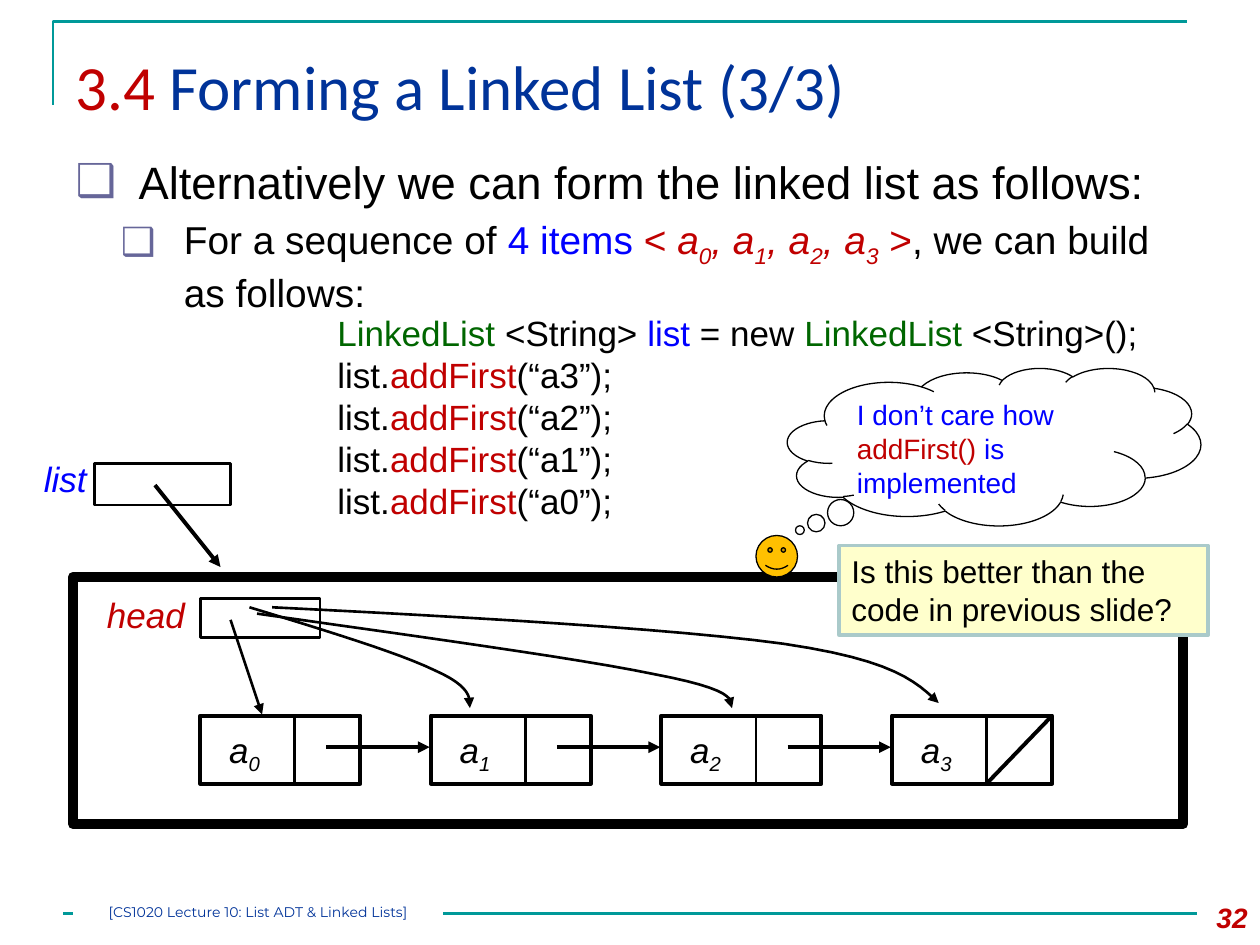
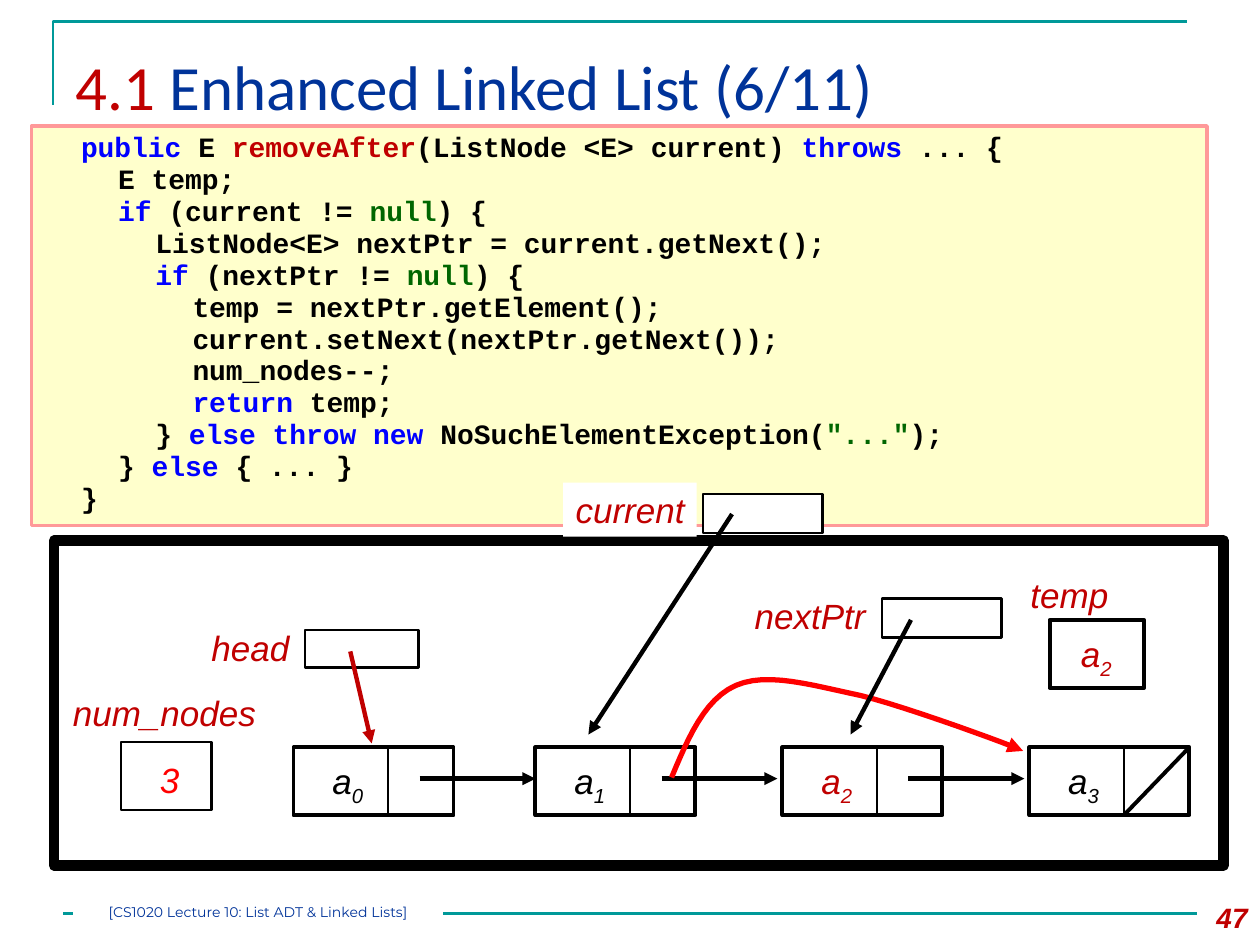
from lxml.etree import SubElement
from pptx import Presentation
from pptx.dml.color import RGBColor
from pptx.enum.shapes import MSO_CONNECTOR, MSO_SHAPE
from pptx.enum.text import MSO_ANCHOR, MSO_AUTO_SIZE, PP_ALIGN
from pptx.oxml.ns import qn
from pptx.util import Inches, Pt

BLACK = RGBColor(0x00, 0x00, 0x00)
WHITE = RGBColor(0xFF, 0xFF, 0xFF)
CRIMSON = RGBColor(0xC0, 0x00, 0x00)
RED = RGBColor(0xFF, 0x00, 0x00)
BLUE = RGBColor(0x00, 0x00, 0xFF)
NAVY = RGBColor(0x00, 0x33, 0x99)
GREEN = RGBColor(0x00, 0x66, 0x00)
TEAL = RGBColor(0x00, 0x99, 0x99)
PURPLE = RGBColor(0x66, 0x66, 0x99)
CREAM = RGBColor(0xFF, 0xFF, 0xCC)
PINK = RGBColor(0xFF, 0x99, 0x99)
GREY_TEAL = RGBColor(0xAA, 0xCA, 0xCA)
GOLD = RGBColor(0xFF, 0xC0, 0x00)


def write_runs(para, runs, size, font="Arial", bold=False, italic=False):
    """Each run is (text, colour) or (text, colour, marks): i italic, s subscript."""
    for text, colour, *marks in runs:
        span = para.add_run()
        span.text = text
        span.font.name = font
        span.font.size = Pt(size)
        span.font.bold = bold
        span.font.italic = italic or "i" in "".join(marks)
        span.font.color.rgb = colour
        if "s" in "".join(marks):
            span.font._element.set("baseline", "-25000")


def add_box(page, place, fill=None, line=None, width=1.5, kind=MSO_SHAPE.RECTANGLE, wrap=True):
    box = page.shapes.add_shape(kind, *[Inches(value) for value in place])
    box.shadow.inherit = False
    if fill is None:
        box.fill.background()
    else:
        box.fill.solid()
        box.fill.fore_color.rgb = fill
    if line is None:
        box.line.fill.background()
    else:
        box.line.color.rgb = line
        box.line.width = Pt(width)
    box.text_frame.word_wrap = wrap
    box.text_frame.vertical_anchor = MSO_ANCHOR.TOP
    box.text_frame.paragraphs[0].alignment = PP_ALIGN.LEFT
    return box


deck = Presentation()
deck.slide_width, deck.slide_height = Inches(10), Inches(7.5)
forming = deck.slides.add_slide(deck.slide_layouts[1])
removing = deck.slides.add_slide(deck.slide_layouts[5])

# Lines of every page: (page, points, colour, width, arrow); over two points is a Bezier curve
lines = []

# Titles, corner rule and footer shared by both slides
for page, section, heading, number in [
    (forming, "3.4 ", "Forming a Linked List (3/3)", "32"),
    (removing, "4.1 ", "Enhanced Linked List (6/11)", "47"),
]:
    title = page.shapes.title
    title.left, title.top, title.width, title.height = [Inches(v) for v in (0.5, 0.25, 9, 0.86)]
    title.text_frame.auto_size = MSO_AUTO_SIZE.NONE
    title.text_frame.vertical_anchor = MSO_ANCHOR.MIDDLE
    para = title.text_frame.paragraphs[0]
    para.alignment = PP_ALIGN.LEFT
    write_runs(para, [(section, CRIMSON), (heading, NAVY)], 36, "Calibri")

    builder = page.shapes.build_freeform(Inches(0.42), Inches(0.83))
    builder.add_line_segments(
        [(Inches(0.42), Inches(0.17)), (Inches(9.42), Inches(0.17))], close=False)
    corner = builder.convert_to_shape()
    corner.shadow.inherit = False
    corner.fill.background()
    corner.line.color.rgb = TEAL
    corner.line.width = Pt(1.5)

    for start, end in [(0.5, 0.58), (3.52, 9.5)]:
        lines.append((page, [(start, 7.25), (end, 7.25)], TEAL, 1.5, False))

    footer = add_box(page, (0.58, 7.17, 2.94, 0.23), WHITE)
    frame = footer.text_frame
    frame.margin_left = frame.margin_right = frame.margin_top = frame.margin_bottom = 0
    frame.paragraphs[0].alignment = PP_ALIGN.CENTER
    write_runs(frame.paragraphs[0], [("[CS1020 Lecture 10: List ADT & Linked Lists]", NAVY)],
               8, "Montserrat")

    page_number = add_box(page, (9.33, 7.1, 0.67, 0.4))
    para = page_number.text_frame.paragraphs[0]
    para.alignment = PP_ALIGN.RIGHT
    write_runs(para, [(number, CRIMSON)], 16, bold=True, italic=True)

# Forming: bullet list
body = forming.placeholders[1]
body.left, body.top, body.width, body.height = [Inches(v) for v in (0.5, 1.17, 9, 1.17)]
body.text_frame.auto_size = MSO_AUTO_SIZE.NONE
sequence = [("For a sequence of ", BLACK), ("4 items ", BLUE), ("<", CRIMSON)]
for index in range(4):
    sequence += [(", a" if index else " a", CRIMSON, "i"), (str(index), CRIMSON, "is")]
sequence += [(" >", CRIMSON), (", we can build as follows:", BLACK)]
bullets = [
    (0, 0.5, 25.9, [("Alternatively we can form the linked list as follows:", BLACK)]),
    (1, 0.86, 22.2, sequence),
]
for level, indent, size, runs in bullets:
    para = body.text_frame.add_paragraph() if level else body.text_frame.paragraphs[0]
    para.level = level
    properties = para._p.get_or_add_pPr()
    properties.set("marL", str(Inches(indent)))
    properties.set("indent", str(Inches(-0.5)))
    bullet_colour = SubElement(properties, qn("a:buClr"))
    SubElement(bullet_colour, qn("a:srgbClr")).set("val", str(PURPLE))
    SubElement(properties, qn("a:buChar")).set("char", "❑")
    para.space_before = Pt(4.4 * level)
    write_runs(para, runs, size)

# Forming: object frame and code
add_box(forming, (0.58, 4.58, 8.81, 1.96), WHITE, BLACK, 6)
frame = add_box(forming, (2.58, 2.42, 6.67, 1.78)).text_frame
write_runs(frame.paragraphs[0], [
    ("LinkedList ", GREEN), ("<String> ", BLACK), ("list ", BLUE), ("= new ", BLACK),
    ("LinkedList ", GREEN), ("<String>();", BLACK)], 20)
for item in (3, 2, 1, 0):
    para = frame.add_paragraph()
    para.alignment = PP_ALIGN.LEFT
    write_runs(para, [("list.", BLACK), ("addFirst", CRIMSON), (f"(“a{item}”);", BLACK)], 20)

# Forming: thought cloud, face and question
cloud = add_box(forming, (6.25, 2.92, 3.28, 1.25), WHITE, BLACK, 0.75, MSO_SHAPE.CLOUD_CALLOUT)
cloud.adjustments[0], cloud.adjustments[1] = -0.47, 0.53
write_runs(cloud.text_frame.paragraphs[0], [
    ("I don’t care how ", BLUE), ("addFirst() ", CRIMSON), ("is implemented", BLUE)], 16)
add_box(forming, (6, 4.25, 0.33, 0.33), GOLD, BLACK, 0.75, MSO_SHAPE.SMILEY_FACE)
question = add_box(forming, (6.66, 4.33, 2.93, 0.71), CREAM, GREY_TEAL, 2)
write_runs(question.text_frame.paragraphs[0],
           [("Is this better than the code in previous slide?", BLACK)], 18)

# Removing: code box, one entry per line with its indent depth
code = [
    (1, [("public", BLUE), (" E ", BLACK), ("removeAfter", CRIMSON),
         ("(ListNode <E> current) ", BLACK), ("throws", BLUE), (" ... {", BLACK)]),
    (2, [("E temp;", BLACK)]),
    (2, [("if ", BLUE), ("(current != ", BLACK), ("null", GREEN), (") {", BLACK)]),
    (3, [("ListNode<E> nextPtr = current.getNext();", BLACK)]),
    (3, [("if", BLUE), (" (nextPtr != ", BLACK), ("null", GREEN), (") {", BLACK)]),
    (4, [("temp = nextPtr.getElement();", BLACK)]),
    (4, [("current.setNext(nextPtr.getNext());", BLACK)]),
    (4, [("num_nodes--;", BLACK)]),
    (4, [("return", BLUE), (" temp;", BLACK)]),
    (3, [("} ", BLACK), ("else throw new ", BLUE), ("NoSuchElementException(", BLACK),
         ('"..."', GREEN), (");", BLACK)]),
    (2, [("} ", BLACK), ("else ", BLUE), ("{ ... }", BLACK)]),
    (1, [("}", BLACK)]),
]
frame = add_box(removing, (0.25, 1, 9.33, 3.17), CREAM, PINK, 2).text_frame
for row, (depth, runs) in enumerate(code):
    para = frame.add_paragraph() if row else frame.paragraphs[0]
    para.alignment = PP_ALIGN.LEFT
    para.line_spacing = 0.95
    para._p.get_or_add_pPr().set("marL", str(Inches(1.18 * depth / 4)))
    write_runs(para, runs, 16, "Courier New", bold=True)
add_box(removing, (0.43, 4.29, 9.28, 2.58), None, BLACK, 6)

# Variable boxes
for page, place, fill, width in [
    (forming, (0.75, 3.68, 1.08, 0.33), WHITE, 1.5),
    (forming, (1.59, 4.75, 0.95, 0.31), None, 1.5),
    (removing, (5.58, 3.92, 0.95, 0.31), WHITE, 1.5),
    (removing, (0.96, 5.89, 0.72, 0.54), WHITE, 1.5),
    (removing, (2.42, 5, 0.9, 0.3), None, 1.5),
    (removing, (8.33, 4.92, 0.75, 0.54), None, 2.25),
    (removing, (7, 4.75, 0.95, 0.31), WHITE, 1.5),
]:
    add_box(page, place, fill, BLACK, width)

# Variable names and values: (page, left, top, width, fill, runs)
labels = [
    (forming, 0.25, 3.58, 0.53, None, [("list", BLUE)]),
    (forming, 0.75, 4.66, 0.82, None, [("head", CRIMSON)]),
    (removing, 4.47, 3.83, 1.06, WHITE, [("current", CRIMSON)]),
    (removing, 0.48, 5.44, 1.67, None, [("num_nodes", CRIMSON)]),
    (removing, 1.17, 5.97, 0.36, None, [("3", RED)]),
    (removing, 1.58, 4.92, 0.82, None, [("head", CRIMSON)]),
    (removing, 8.08, 4.5, 0.82, None, [("temp", CRIMSON)]),
    (removing, 8.48, 4.97, 0.46, None, [("a", CRIMSON), ("2", CRIMSON, "s")]),
    (removing, 5.89, 4.67, 1.09, None, [("nextPtr", CRIMSON)]),
]

# Node chains: (page, lefts, top, label offset, arrow length, arrow width, removed node)
chains = [
    (forming, [1.59 + 1.83 * step for step in range(4)], 5.68, 0.13, 0.82, 2.25, None),
    (removing, [2.33, 4.25, 6.21, 8.17], 5.93, 0.21, 0.92, 2.5, 2),
]
for page, lefts, top, offset, length, width, removed in chains:
    for index, left in enumerate(lefts):
        add_box(page, (left, top, 1.27, 0.54), None, BLACK, 2.25)
        divider = left + 0.75
        lines.append((page, [(divider, top), (divider, top + 0.54)], BLACK, 1.5, False))
        colour = CRIMSON if index == removed else BLACK
        labels.append((page, left + offset, top + 0.05, 0.46, None,
                       [("a", colour), (str(index), colour, "s")]))
        if index < 3:
            start, level = left + 1, top + 0.25
            lines.append((page, [(start, level), (start + length, level)], BLACK, width, True))
        else:
            lines.append((page, [(left + 1.27, top), (divider, top + 0.54)], BLACK, 2.25, False))

for page, left, top, width, fill, runs in labels:
    label = add_box(page, (left, top, width, 0.43), fill, wrap=False)
    write_runs(label.text_frame.paragraphs[0], runs, 20, italic=True)

# Pointers
lines += [
    (forming, [(1.23, 3.85), (1.75, 4.5)], BLACK, 2.25, True),
    (forming, [(1.83, 4.92), (2.08, 5.67)], BLACK, 1.5, True),
    (forming, [(2.16, 4.82), (3.75, 4.9), (5.34, 4.99), (6.22, 5.11),
               (7.1, 5.24), (7.27, 5.41), (7.45, 5.58)], BLACK, 1.5, True),
    (forming, [(2.04, 4.87), (3.3, 5.05), (4.56, 5.22), (5.19, 5.35),
               (5.82, 5.47), (5.81, 5.55), (5.81, 5.62)], BLACK, 1.5, True),
    (forming, [(1.98, 4.82), (2.57, 5), (3.16, 5.18), (3.45, 5.32),
               (3.74, 5.45), (3.73, 5.54), (3.73, 5.62)], BLACK, 1.5, True),
    (removing, [(2.78, 5.17), (2.95, 5.9)], CRIMSON, 2.5, True),
    (removing, [(5.81, 4.08), (4.67, 5.83)], BLACK, 2.5, True),
    (removing, [(5.33, 6.17), (5.46, 5.86), (5.59, 5.55), (5.84, 5.44), (6.09, 5.33),
                (6.45, 5.44), (6.83, 5.52), (7.2, 5.61), (8.07, 5.93), (8.12, 5.96)],
     RED, 3, True),
    (removing, [(7.23, 4.92), (6.75, 5.83)], BLACK, 2.5, True),
]
for page, points, colour, width, arrow in lines:
    points = [(Inches(x), Inches(y)) for x, y in points]
    if len(points) == 2:
        line = page.shapes.add_connector(MSO_CONNECTOR.STRAIGHT, *points[0], *points[1])
    else:
        builder = page.shapes.build_freeform(*points[0])
        for first in range(0, len(points) - 1, 3):
            controls = points[first:first + 4]
            for t in [step / 12 for step in range(1, 13)]:
                weights = ((1 - t) ** 3, 3 * t * (1 - t) ** 2, 3 * t * t * (1 - t), t ** 3)
                x, y = [sum(weight * value for weight, value in zip(weights, values))
                        for values in zip(*controls)]
                builder.add_line_segments([(x, y)], close=False)
        line = builder.convert_to_shape()
        line.fill.background()
    line.line.color.rgb = colour
    line.line.width = Pt(width)
    if arrow:
        SubElement(line.line._get_or_add_ln(), qn("a:tailEnd")).set("type", "triangle")
    SubElement(line._element.spPr, qn("a:effectLst"))

deck.save("out.pptx")
